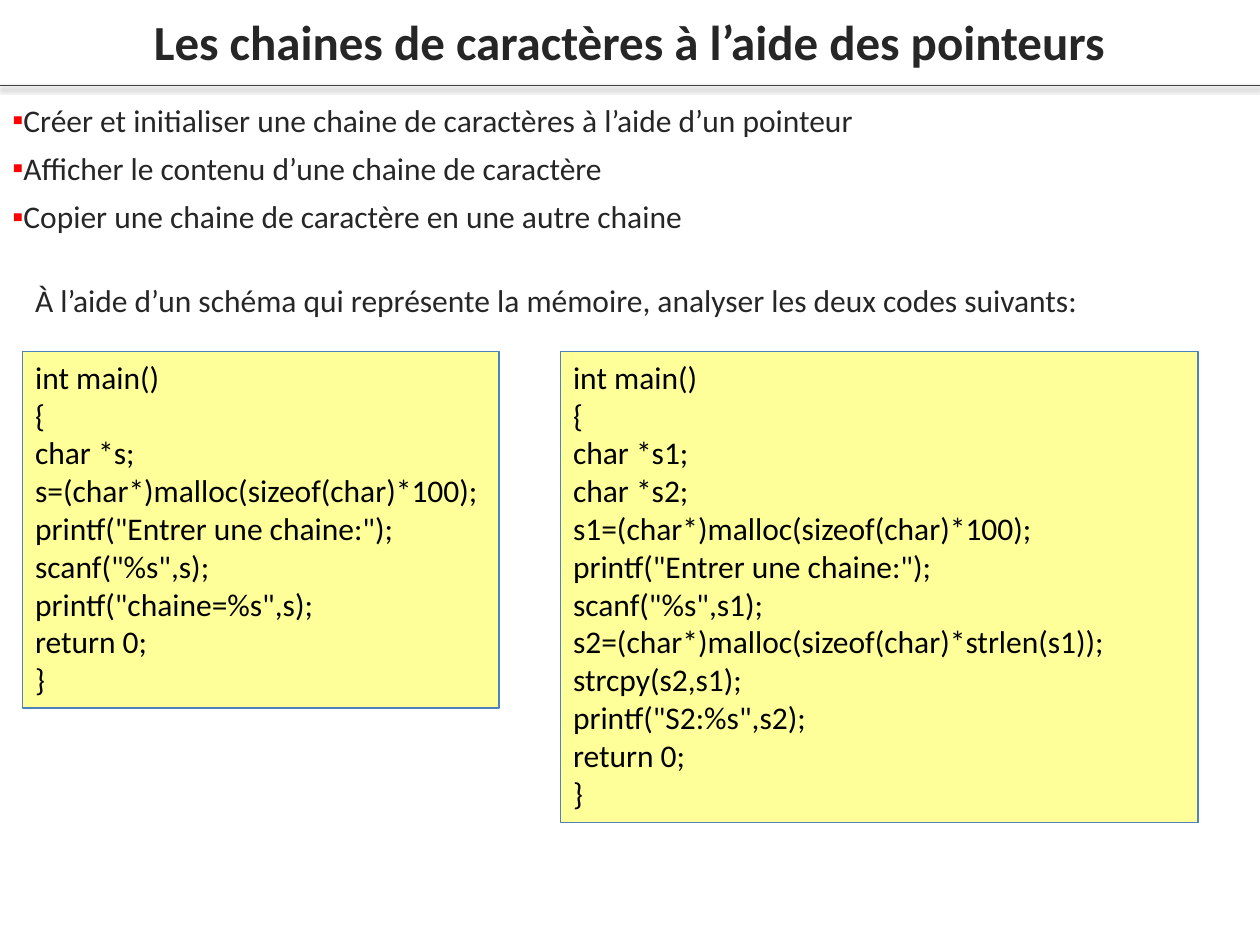
from lxml import etree
from pptx import Presentation
from pptx.dml.color import RGBColor
from pptx.enum.shapes import MSO_CONNECTOR, MSO_SHAPE
from pptx.enum.text import MSO_ANCHOR, MSO_AUTO_SIZE, PP_ALIGN
from pptx.oxml import parse_xml
from pptx.oxml.ns import nsdecls, qn
from pptx.util import Inches, Pt

INK = RGBColor(0x26, 0x26, 0x26)
BLACK = RGBColor(0, 0, 0)
RED = RGBColor(0xFF, 0, 0)
RULE = RGBColor(0x40, 0x40, 0x40)
CODE_FILL = RGBColor(0xFF, 0xFF, 0x99)
CODE_LINE = RGBColor(0x4F, 0x81, 0xBD)


class LessonSlide:
    font = "Calibri"

    def __init__(self, slide):
        self.shapes = slide.shapes

    def fill_text(self, shape, lines, size=18, color=INK, bold=False,
                  align=PP_ALIGN.LEFT, after=0):
        frame = shape.text_frame
        frame.word_wrap = True
        frame.auto_size = MSO_AUTO_SIZE.SHAPE_TO_FIT_TEXT
        frame.text = "\n".join(lines)
        for paragraph in frame.paragraphs:
            paragraph.alignment = align
            paragraph.space_after = Pt(after)
            font = paragraph.font
            font.name, font.size, font.bold = self.font, Pt(size), bold
            font.color.rgb = color
        return frame

    def text(self, left, top, width, height, lines, **style):
        box = self.shapes.add_textbox(
            Inches(left), Inches(top), Inches(width), Inches(height))
        return self.fill_text(box, lines, **style)

    def bullets(self, left, top, width, height, lines):
        frame = self.text(left, top, width, height, lines, after=6)
        for paragraph in frame.paragraphs:
            props = paragraph._p.get_or_add_pPr()
            props.set("marL", "0")
            props.set("indent", str(Inches(-0.31)))
            marks = (f'<a:buClr {nsdecls("a")}><a:srgbClr val="{RED}"/></a:buClr>',
                     f'<a:buFont {nsdecls("a")} typeface="Arial"/>',
                     f'<a:buChar {nsdecls("a")} char="▪"/>')
            at = props.index(props.find(qn("a:defRPr")))
            for offset, mark in enumerate(marks):
                props.insert(at + offset, parse_xml(mark))

    def code(self, left, top, width, height, lines):
        panel = self.shapes.add_shape(
            MSO_SHAPE.RECTANGLE,
            Inches(left), Inches(top), Inches(width), Inches(height))
        panel.shadow.inherit = False
        panel.fill.solid()
        panel.fill.fore_color.rgb = CODE_FILL
        panel.line.color.rgb = CODE_LINE
        panel.line.width = Pt(0.75)
        frame = self.fill_text(panel, lines, color=BLACK)
        frame.vertical_anchor = MSO_ANCHOR.TOP

    def rule(self, y):
        line = self.shapes.add_connector(
            MSO_CONNECTOR.STRAIGHT, Inches(0), Inches(y), Inches(10), Inches(y))
        line.line.color.rgb = RULE
        line.line.width = Pt(0.5)
        effects = etree.SubElement(line._element.spPr, qn("a:effectLst"))
        effects.append(parse_xml(
            f'<a:outerShdw {nsdecls("a")} blurRad="{Pt(3.1)}" dist="{Pt(1.6)}" '
            'dir="5400000" rotWithShape="0"><a:srgbClr val="000000">'
            '<a:alpha val="38000"/></a:srgbClr></a:outerShdw>'))


deck = Presentation()
deck.slide_width, deck.slide_height = Inches(10), Inches(7.5)
page = LessonSlide(deck.slides.add_slide(deck.slide_layouts[6]))

# Header rule, goals and title
page.rule(0.68)
page.bullets(0, 0.75, 9.96, 1.18, [
    "Créer et initialiser une chaine de caractères à l’aide d’un pointeur",
    "Afficher le contenu d’une chaine de caractère",
    "Copier une chaine de caractère en une autre chaine",
])
page.text(0.01, 0.04, 9.97, 0.57,
          ["Les chaines de caractères à l’aide des pointeurs"],
          size=28, bold=True, align=PP_ALIGN.CENTER)

# The two programs
CODE_TOP = 2.79
page.code(0.18, CODE_TOP, 3.78, 2.83, [
    "int main()",
    "{",
    "char *s;",
    "s=(char*)malloc(sizeof(char)*100);",
    'printf("Entrer une chaine:");',
    'scanf("%s",s);',
    'printf("chaine=%s",s);',
    "return 0;",
    "}",
])
page.code(4.45, CODE_TOP, 5.06, 3.74, [
    "int main()",
    "{",
    "char *s1;",
    "char *s2;",
    "s1=(char*)malloc(sizeof(char)*100);",
    'printf("Entrer une chaine:");',
    'scanf("%s",s1);',
    "s2=(char*)malloc(sizeof(char)*strlen(s1));",
    "strcpy(s2,s1);",
    'printf("S2:%s",s2);',
    "return 0;",
    "}",
])

# Exercise
page.text(0.18, 2.18, 9.07, 0.4, [
    "À l’aide d’un schéma qui représente la mémoire, "
    "analyser les deux codes suivants:"], after=6)

deck.save("out.pptx")
